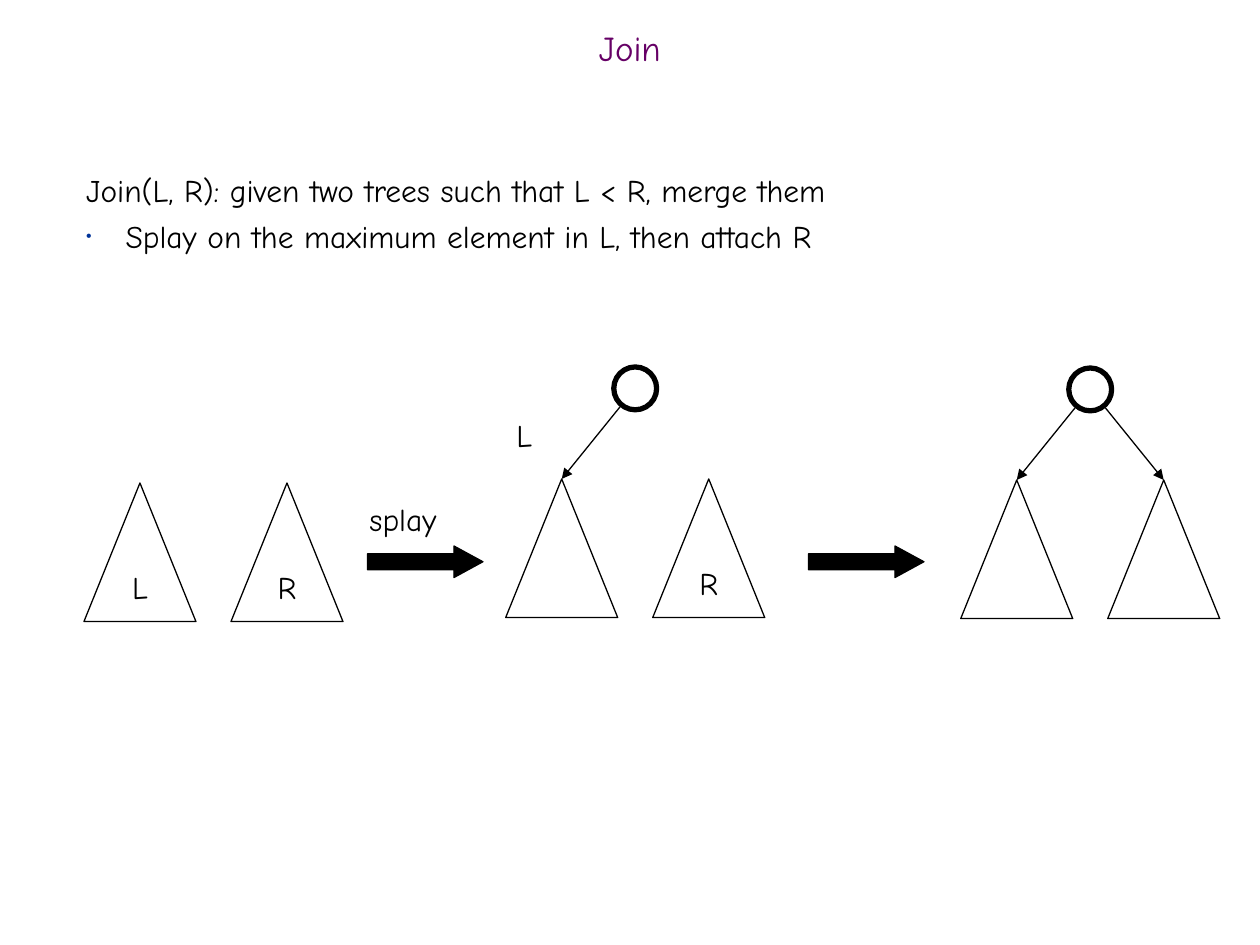
from lxml.etree import SubElement
from pptx import Presentation
from pptx.dml.color import RGBColor
from pptx.enum.shapes import MSO_CONNECTOR, MSO_SHAPE
from pptx.enum.text import MSO_ANCHOR, MSO_AUTO_SIZE, PP_ALIGN
from pptx.oxml.ns import qn
from pptx.util import Pt

BLACK = RGBColor(0, 0, 0)
PURPLE = RGBColor(0x66, 0, 0x66)
BLUE = RGBColor(0, 0x33, 0x99)
FONT = "Comic Neue"

TREE_W, TREE_H = 64, 79.2   # one triangle
STEP = 84                   # left edge to left edge in a pair
ROOT = 24.5                 # root circle
RISE = 64                   # root top above the triangles


def place(shape, x, y, w, h):
    shape.left, shape.top = Pt(x), Pt(y)
    shape.width, shape.height = Pt(w), Pt(h)


def add_run(para, text, size=18, color=BLACK):
    run = para.add_run()
    run.text = text
    run.font.name = FONT
    run.font.size = Pt(size)
    run.font.color.rgb = color


def set_mark(para, char=None, indent=0):
    props = para._p.get_or_add_pPr()
    props.set("marL", str(Pt(indent)))
    props.set("indent", str(-Pt(indent)))
    if char is None:
        SubElement(props, qn("a:buNone"))
        return
    tint = SubElement(props, qn("a:buClr"))
    SubElement(tint, qn("a:srgbClr"), val=str(BLUE))
    SubElement(props, qn("a:buSzPct"), val="50000")
    SubElement(props, qn("a:buChar"), char=char)


def add_title(slide, x, y, w, h):
    title = slide.shapes.title
    place(title, x, y, w, h)
    frame = title.text_frame
    frame.auto_size = MSO_AUTO_SIZE.NONE
    frame.vertical_anchor = MSO_ANCHOR.MIDDLE
    para = frame.paragraphs[0]
    para.alignment = PP_ALIGN.CENTER
    para.line_spacing = 0.7
    add_run(para, "Join", 20, PURPLE)


def add_body(slide, x, y, w, h):
    body = slide.placeholders[1]
    place(body, x, y, w, h)
    frame = body.text_frame
    frame.auto_size = MSO_AUTO_SIZE.NONE
    frame.vertical_anchor = MSO_ANCHOR.TOP
    lead, item = frame.paragraphs[0], frame.add_paragraph()
    set_mark(lead)
    set_mark(item, "•", 22.5)
    for para in (lead, item):
        para.line_spacing = Pt(26)
        para.space_before = Pt(0)
    add_run(lead, "Join(L, R): given two trees such that L < R, merge them")
    add_run(item, "Splay on the maximum element in L, then attach R")


def add_form(slide, kind, x, y, w, h, line=0.75, solid=False):
    form = slide.shapes.add_shape(kind, Pt(x), Pt(y), Pt(w), Pt(h))
    form.shadow.inherit = False
    if solid:
        form.fill.solid()
        form.fill.fore_color.rgb = BLACK
    else:
        form.fill.background()
    form.line.color.rgb = BLACK
    form.line.width = Pt(line)
    return form


def add_edge(slide, x1, y1, x2, y2):
    edge = slide.shapes.add_connector(
        MSO_CONNECTOR.STRAIGHT, Pt(x1), Pt(y1), Pt(x2), Pt(y2))
    edge.line.color.rgb = BLACK
    edge.line.width = Pt(0.75)
    SubElement(edge.line._get_or_add_ln(), qn("a:tailEnd"), type="triangle")
    SubElement(edge._element.spPr, qn("a:effectLst"))


def add_pair(slide, x, y, names=("", ""), sides=()):
    """Two subtrees with tops at y; a root joins those listed in sides."""
    for i, name in enumerate(names):
        tree = add_form(slide, MSO_SHAPE.ISOSCELES_TRIANGLE,
                        x + i * STEP, y, TREE_W, TREE_H)
        if name:
            frame = tree.text_frame
            frame.word_wrap = False
            frame.vertical_anchor = MSO_ANCHOR.MIDDLE
            para = frame.paragraphs[0]
            para.alignment = PP_ALIGN.CENTER
            add_run(para, name)
    if sides:
        mid = x + (STEP + TREE_W) / 2
        add_form(slide, MSO_SHAPE.OVAL, mid - ROOT / 2, y - RISE,
                 ROOT, ROOT, line=3)
        for side in sides:
            add_edge(slide, mid + side * 8.6, y - 41.3,
                     mid + side * STEP / 2, y)


def add_label(slide, text, x, y, w, h):
    box = slide.shapes.add_textbox(Pt(x), Pt(y), Pt(w), Pt(h))
    frame = box.text_frame
    frame.word_wrap = False
    frame.auto_size = MSO_AUTO_SIZE.SHAPE_TO_FIT_TEXT
    add_run(frame.paragraphs[0], text)


def add_move(slide, x, y, w, h, name=""):
    """Block arrow, with an optional label above it."""
    arrow = add_form(slide, MSO_SHAPE.RIGHT_ARROW, x, y, w, h, solid=True)
    arrow.adjustments[0] = 0.5
    arrow.adjustments[1] = 0.917
    if name:
        add_label(slide, name, x - 6, y - 30, 57, 29)


def main():
    deck = Presentation()
    deck.slide_width, deck.slide_height = Pt(720), Pt(540)
    slide = deck.slides.add_slide(deck.slide_layouts[1])
    add_title(slide, 0, 12, 720, 36)
    add_body(slide, 42, 90, 654, 324)

    # Before, after the splay, after the join
    add_pair(slide, 48, 276, ("L", "R"))
    add_move(slide, 210, 312, 66, 18, "splay")
    add_pair(slide, 289, 273.7, ("", "R"), sides=(-1,))
    add_label(slide, "L", 288, 234, 24.5, 29)
    add_move(slide, 462, 312, 66, 18)
    add_pair(slide, 549, 274.3, sides=(-1, 1))
    deck.save("out.pptx")


if __name__ == "__main__":
    main()
